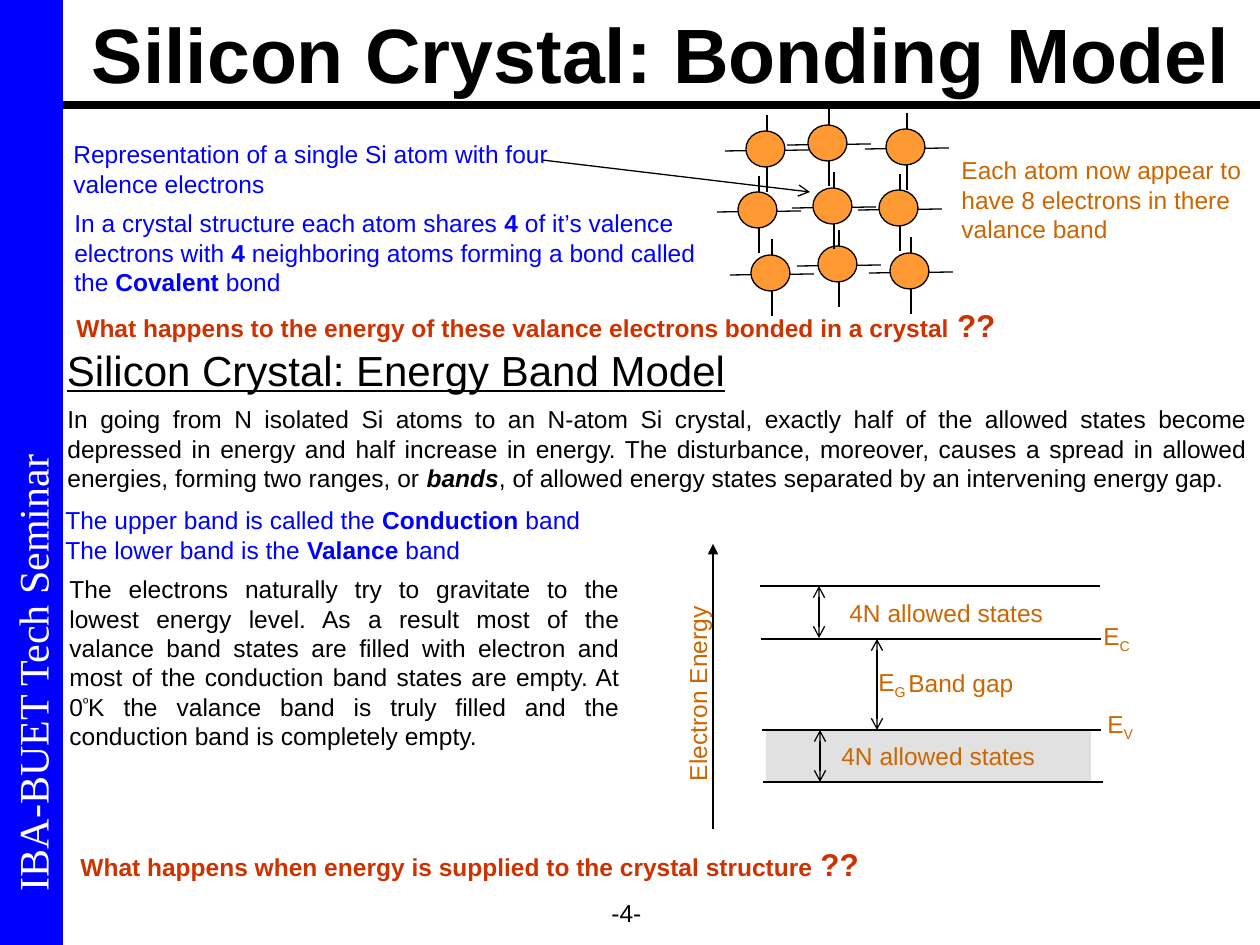
"""Build the slide on the bonding and energy band models of a silicon crystal."""
from dataclasses import dataclass

from lxml import etree
from pptx import Presentation
from pptx.dml.color import RGBColor
from pptx.enum.shapes import MSO_CONNECTOR, MSO_SHAPE
from pptx.enum.text import PP_ALIGN
from pptx.oxml.ns import qn
from pptx.slide import Slide
from pptx.util import Emu, Pt

STRAIGHT = MSO_CONNECTOR.STRAIGHT
RECTANGLE, OVAL = MSO_SHAPE.RECTANGLE, MSO_SHAPE.OVAL
LEFT, CENTER, JUSTIFY = PP_ALIGN.LEFT, PP_ALIGN.CENTER, PP_ALIGN.JUSTIFY

BLACK = RGBColor(0x00, 0x00, 0x00)
WHITE = RGBColor(0xFF, 0xFF, 0xFF)
BLUE = RGBColor(0x00, 0x00, 0xFF)
ORANGE = RGBColor(0xFF, 0x99, 0x33)
BROWN = RGBColor(0xCC, 0x66, 0x00)
RED = RGBColor(0xCC, 0x33, 0x00)
GRAY = RGBColor(0xE1, 0xE1, 0xE1)

PX_PER_INCH = 126
ATOM_SIZE = (39, 36)


@dataclass(frozen=True)
class Span:
    text: str
    bold: bool | None = None
    italic: bool | None = None
    size: int | None = None
    baseline: int = 0


@dataclass(frozen=True)
class TextBlock:
    box: tuple[int, int, int, int]
    paragraphs: list[list[Span]]
    color: RGBColor = BLACK
    size: int = 14
    bold: bool = False
    underline: bool = False
    align: PP_ALIGN = LEFT
    font: str = "Arial"
    rotation: int = 0


@dataclass(frozen=True)
class Line:
    start: tuple[int, int]
    end: tuple[int, int]
    width: float = 0.75
    head: str = ""
    tail: str = ""


def px(value: int) -> Emu:
    """Turn pixels into EMU."""
    return Emu(round(value * 914400 / PX_PER_INCH))


def draw_text(slide: Slide, block: TextBlock) -> None:
    """Add a text box with its paragraphs and runs."""
    shape = slide.shapes.add_textbox(*map(px, block.box))
    shape.rotation = block.rotation
    frame = shape.text_frame
    frame.word_wrap = True
    for index, spans in enumerate(block.paragraphs):
        paragraph = frame.add_paragraph() if index else frame.paragraphs[0]
        paragraph.alignment = block.align
        font = paragraph.font
        font.name, font.size = block.font, Pt(block.size)
        font.bold, font.underline = block.bold, block.underline
        font.color.rgb = block.color
        for span in spans:
            run = paragraph.add_run()
            run.text = span.text
            run.font.bold, run.font.italic = span.bold, span.italic
            if span.size:
                run.font.size = Pt(span.size)
            if span.baseline:
                run.font._element.set("baseline", str(span.baseline * 1000))


def draw_line(slide: Slide, line: Line) -> None:
    """Add a straight black line with optional arrowheads."""
    connector = slide.shapes.add_connector(STRAIGHT, *map(px, line.start + line.end))
    connector.line.color.rgb = BLACK
    connector.line.width = Pt(line.width)
    outline = connector.line._get_or_add_ln()
    for tag, kind in (("a:headEnd", line.head), ("a:tailEnd", line.tail)):
        if kind:
            etree.SubElement(outline, qn(tag)).set("type", kind)
    etree.SubElement(connector._element.spPr, qn("a:effectLst"))


def draw_shape(slide: Slide, kind: MSO_SHAPE, box: tuple[int, int, int, int],
               fill: RGBColor, outlined: bool = False) -> None:
    """Add a filled preset shape."""
    shape = slide.shapes.add_shape(kind, *map(px, box))
    shape.shadow.inherit = False
    shape.fill.solid()
    shape.fill.fore_color.rgb = fill
    if outlined:
        shape.line.color.rgb = BLACK
        shape.line.width = Pt(0.75)
    else:
        shape.line.fill.background()


def draw_atom(slide: Slide, left: int, top: int) -> None:
    """Add an atom over its vertical and horizontal bonds."""
    draw_line(slide, Line((left + 21, top - 16), (left + 21, top + 61)))
    draw_line(slide, Line((left + 63, top + 19), (left - 21, top + 20)))
    draw_shape(slide, OVAL, (left, top, *ATOM_SIZE), ORANGE, outlined=True)


def question(box: tuple[int, int, int, int], text: str) -> TextBlock:
    """Describe a red question that ends in large marks."""
    return TextBlock(box, [[Span(text), Span("??", size=18)]], RED, bold=True)


def level_label(left: int, top: int, subscript: str) -> TextBlock:
    """Describe an energy symbol with its subscript."""
    return TextBlock((left, top, 76, 47), [[Span("E"), Span(subscript, baseline=-25)]], BROWN)


def label(box: tuple[int, int, int, int], text: str, rotation: int = 0) -> TextBlock:
    """Describe a brown label."""
    return TextBlock(box, [[Span(text)]], BROWN, rotation=rotation)


ATOMS = [(738, 192), (808, 125), (879, 190), (818, 246), (751, 255),
         (890, 253), (746, 131), (886, 129), (813, 188)]

LINES = [
    Line((63, 105), (1260, 105), width=4.5),
    Line((542, 160), (810, 192), tail="arrow"),
    Line((760, 586), (1100, 586)),
    Line((761, 639), (1101, 639)),
    Line((762, 730), (1101, 730)),
    Line((763, 782), (1103, 782)),
    Line((713, 829), (713, 544), tail="triangle"),
    Line((820, 730), (820, 782), head="arrow", tail="arrow"),
    Line((819, 586), (819, 638), head="arrow", tail="arrow"),
    Line((877, 639), (877, 730), head="arrow", tail="arrow"),
]

TEXTS = [
    TextBlock((63, 0, 1197, 102), [[Span("Silicon Crystal: Bonding Model")]],
              size=44, bold=True, align=CENTER),
    TextBlock((-430, 420, 914, 53), [[Span("IBA-BUET Tech Seminar")]], WHITE,
              size=24, font="Times New Roman", rotation=270),
    TextBlock((599, 892, 84, 72), [[Span("-4-")]]),
    label((949, 149, 311, 101), "Each atom now appear to have 8 electrons in there valance band"),
    TextBlock((61, 133, 570, 72),
              [[Span("Representation of a single Si atom with four valence electrons")]], BLUE),
    TextBlock((62, 202, 680, 101), [[
        Span("In a crystal structure each atom shares "), Span("4", bold=True),
        Span(" of it’s valence electrons with "), Span("4", bold=True),
        Span(" neighboring atoms forming a bond called the "),
        Span("Covalent", bold=True), Span(" bond")]], BLUE),
    question((64, 300, 984, 50),
             "What happens to the energy of these valance electrons bonded in a crystal "),
    TextBlock((46, 338, 700, 63), [[Span("Silicon Crystal: Energy Band Model")]],
              size=24, underline=True, align=CENTER),
    TextBlock((55, 398, 1205, 101), [[
        Span("In going from N isolated Si atoms to an N-atom Si crystal, exactly half of the "
             "allowed states become depressed in energy and half increase in energy. The "
             "disturbance, moreover, causes a spread in allowed energies, forming two ranges, or "),
        Span("bands", bold=True, italic=True),
        Span(", of allowed energy states separated by an intervening energy gap.")]],
        align=JUSTIFY),
    TextBlock((53, 499, 564, 72), [
        [Span("The upper band is called the "), Span("Conduction", bold=True), Span(" band")],
        [Span("The lower band is the "), Span("Valance", bold=True), Span(" band")]], BLUE),
    TextBlock((57, 568, 575, 189), [[
        Span("The electrons naturally try to gravitate to the lowest energy level. As a result "
             "most of the valance band states are filled with electron and most of the "
             "conduction band states are empty. At 0"),
        Span("º", baseline=30),
        Span("K the valance band is truly filled and the conduction band is completely empty.")]],
        align=JUSTIFY),
    label((829, 735, 226, 43), "4N allowed states"),
    label((837, 592, 226, 43), "4N allowed states"),
    label((585, 659, 226, 43), "Electron Energy", rotation=270),
    label((896, 662, 136, 43), "Band gap"),
    level_label(1091, 615, "C"),
    level_label(1095, 703, "V"),
    level_label(866, 661, "G"),
    question((68, 839, 984, 50),
             "What happens when energy is supplied to the crystal structure "),
]


def main() -> None:
    """Build and save the presentation."""
    presentation = Presentation()
    presentation.slide_width, presentation.slide_height = px(1260), px(945)
    slide = presentation.slides.add_slide(presentation.slide_layouts[6])
    draw_shape(slide, RECTANGLE, (0, 0, 63, 945), BLUE)
    draw_shape(slide, RECTANGLE, (766, 730, 325, 52), GRAY)
    for left, top in ATOMS:
        draw_atom(slide, left, top)
    for line in LINES:
        draw_line(slide, line)
    for block in TEXTS:
        draw_text(slide, block)
    presentation.save("out.pptx")


if __name__ == "__main__":
    main()
